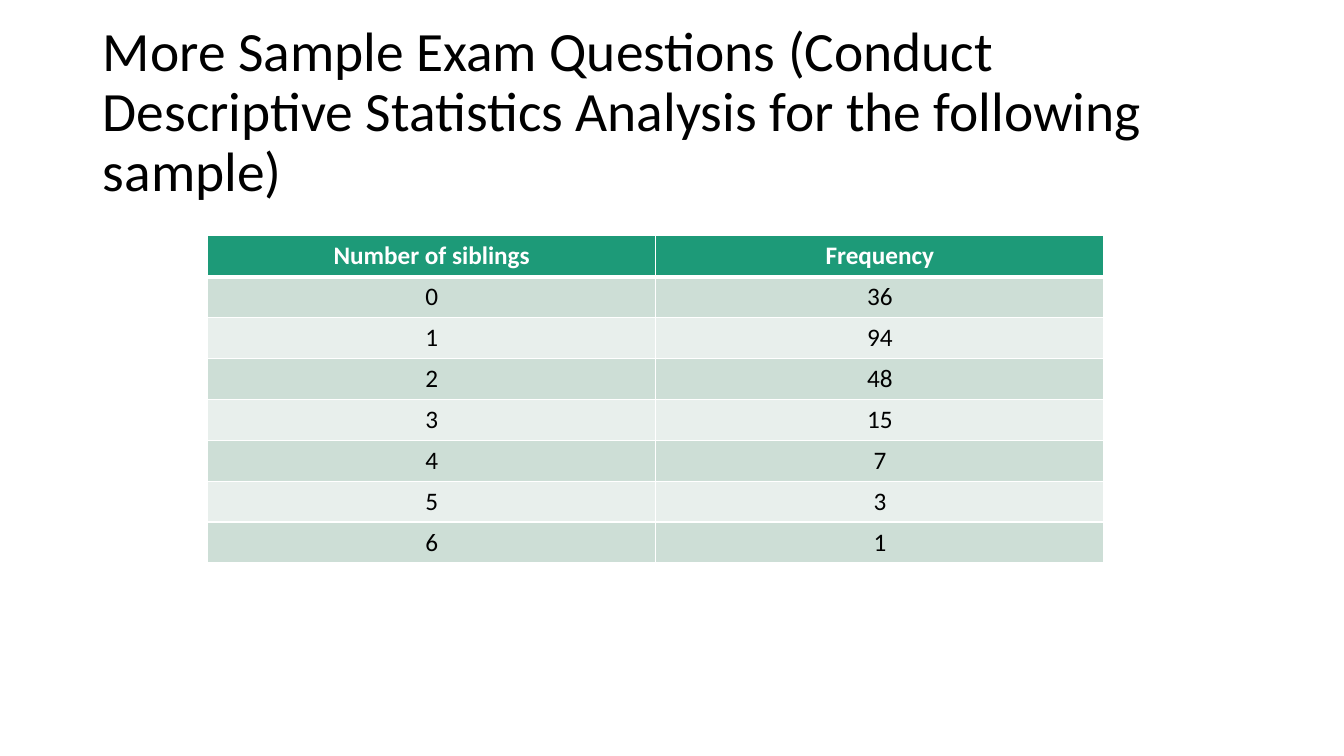
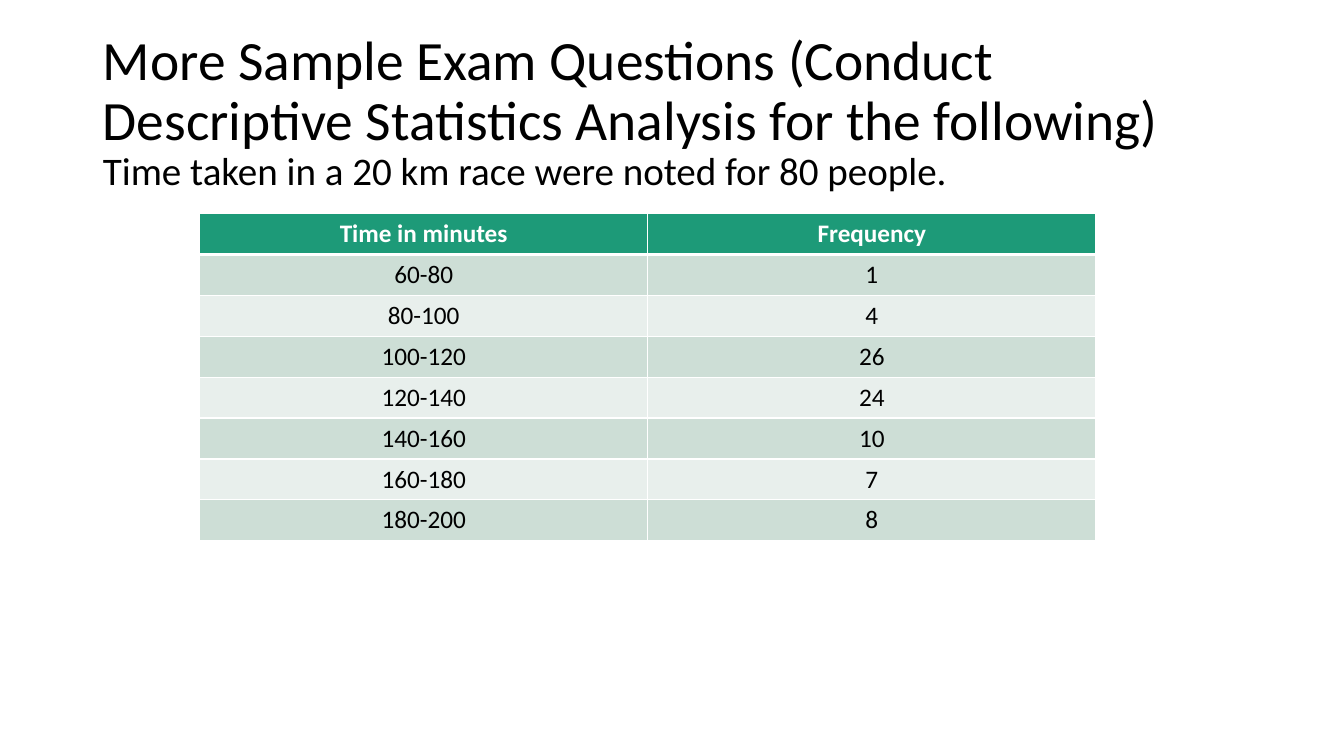
from lxml.etree import SubElement
from pptx import Presentation
from pptx.dml.color import RGBColor
from pptx.enum.text import MSO_ANCHOR, MSO_AUTO_SIZE, PP_ALIGN
from pptx.oxml.ns import qn
from pptx.util import Inches, Pt


def color(code):
    return RGBColor.from_string(code)


class Deck:
    face = "Calibri"
    black = "000000"
    white = "FFFFFF"
    green = "1D9A78"
    bands = ("E8EFEC", "CDDED6")

    def __init__(self):
        self.prs = Presentation()
        self.prs.slide_width = Inches(13.33)
        self.prs.slide_height = Inches(7.5)
        self.slide = None

    def style(self, font, size, code, bold=False):
        font.name = self.face
        font.size = Pt(size)
        font.bold = bold
        font.color.rgb = color(code)

    def start(self, text, note=None):
        self.slide = self.prs.slides.add_slide(self.prs.slide_layouts[5])
        title = self.slide.shapes.title
        title.left, title.top = Inches(0.92), Inches(0.4)
        title.width, title.height = Inches(11.5), Inches(1.45)
        frame = title.text_frame
        frame.word_wrap = True
        frame.auto_size = MSO_AUTO_SIZE.NONE
        frame.vertical_anchor = MSO_ANCHOR.MIDDLE
        para = frame.paragraphs[0]
        para.alignment = PP_ALIGN.LEFT
        para.line_spacing = 0.9
        self.style(para.font, 39.6, self.black)
        para.add_run().text = text
        if note:
            para.add_line_break()
            run = para.add_run()
            run.text = note
            run.font.size = Pt(27.9)

    def border(self, cell, row):
        props = cell._tc.get_or_add_tcPr()
        thick = {(0, "B"), (1, "T")}
        for side in "LRTB":
            width = Pt(3 if (row, side) in thick else 1)
            line = SubElement(props, qn(f"a:ln{side}"), w=str(width))
            fill = SubElement(line, qn("a:solidFill"))
            SubElement(fill, qn("a:srgbClr"), val=self.white)

    def table(self, left, top, rows):
        table = self.slide.shapes.add_table(
            len(rows), len(rows[0]), Inches(left), Inches(top),
            Inches(8.89), Inches(3.24)).table
        for i, row in enumerate(rows):
            head = i == 0
            for j, value in enumerate(row):
                cell = table.cell(i, j)
                self.border(cell, i)
                cell.fill.solid()
                cell.fill.fore_color.rgb = color(
                    self.green if head else self.bands[i % 2])
                cell.text = str(value)
                para = cell.text_frame.paragraphs[0]
                para.alignment = PP_ALIGN.CENTER
                self.style(para.font, 18, self.white if head else self.black, head)


def main():
    deck = Deck()
    lead = "More Sample Exam Questions (Conduct Descriptive Statistics Analysis for the following"

    deck.start(f"{lead} sample)")
    counts = (36, 94, 48, 15, 7, 3, 1)
    deck.table(2.06, 2.34, [("Number of siblings", "Frequency"), *enumerate(counts)])

    deck.start(f"{lead})", "Time taken in a 20 km race were noted for 80 people.")
    counts = (1, 4, 26, 24, 10, 7, 8)
    times = [f"{low}-{low + 20}" for low in range(60, 200, 20)]
    deck.table(1.98, 2.12, [("Time in minutes", "Frequency"), *zip(times, counts)])

    deck.prs.save("out.pptx")


if __name__ == "__main__":
    main()
